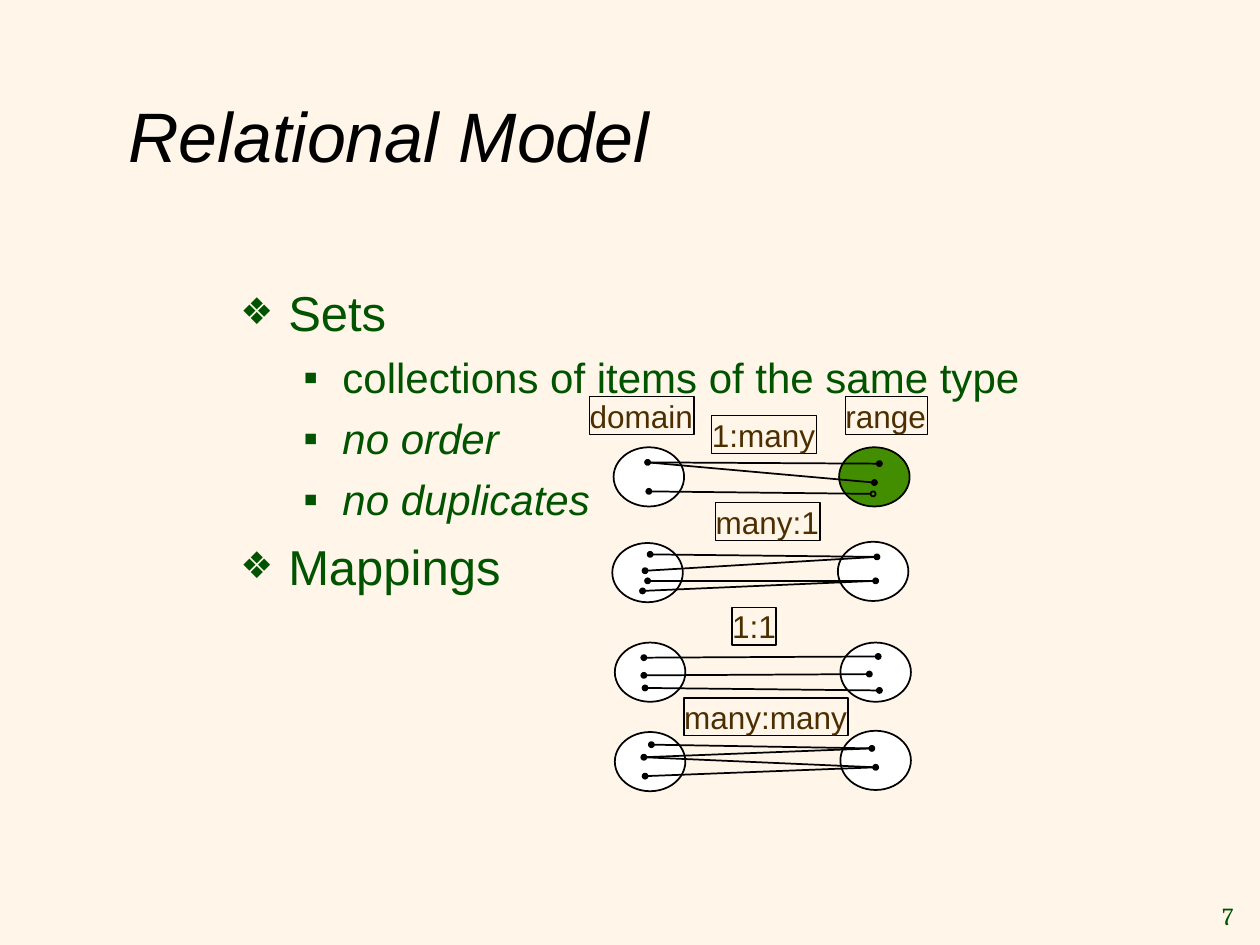
from dataclasses import dataclass
from typing import Any

from lxml.etree import SubElement
from pptx import Presentation
from pptx.dml.color import RGBColor
from pptx.enum.shapes import MSO_CONNECTOR as CONN, MSO_SHAPE as SHAPE
from pptx.enum.text import MSO_ANCHOR as ANCHOR, MSO_AUTO_SIZE as FIT, PP_ALIGN as ALIGN
from pptx.oxml.ns import qn
from pptx.util import Inches, Pt

CREAM = RGBColor(0xFF, 0xF6, 0xE9)
BLACK = RGBColor(0x00, 0x00, 0x00)
WHITE = RGBColor(0xFF, 0xFF, 0xFF)
DARK_GREEN = RGBColor(0x00, 0x54, 0x00)
GREEN = RGBColor(0x43, 0x8E, 0x00)
BROWN = RGBColor(0x4C, 0x2E, 0x00)

OVAL_W, OVAL_H, DOT = 0.56, 0.47, 0.04

BULLETS = [
    ("Sets", 0, False),
    ("collections of items of the same type", 1, False),
    ("no order", 1, True),
    ("no duplicates", 1, True),
    ("Mappings", 0, False),
]
LEVELS = [
    dict(char="❖", margin=0.38, hang=0.38, scale=75, size=28, before=7),
    dict(char="▪", margin=0.81, hang=0.31, scale=100, size=24, before=6),
]
MAPPINGS = [
    dict(ovals=[(4.87, 3.55, WHITE), (6.66, 3.55, GREEN)],
         domain=[(5.14, 3.67), (5.15, 3.9)],
         range=[(6.98, 3.68), (6.94, 3.83), (6.93, 3.92)],
         pairs=[(0, 0), (0, 1), (1, 2)], hollow=(6.93, 3.92)),
    dict(ovals=[(4.86, 4.31, WHITE), (6.65, 4.3, WHITE)],
         domain=[(5.16, 4.4), (5.12, 4.53), (5.14, 4.61), (5.1, 4.69)],
         range=[(6.96, 4.42), (6.95, 4.61)],
         pairs=[(0, 0), (1, 0), (2, 1), (3, 1)]),
    dict(ovals=[(4.88, 5.1, WHITE), (6.67, 5.1, WHITE)],
         domain=[(5.11, 5.22), (5.11, 5.36), (5.12, 5.46)],
         range=[(6.97, 5.21), (6.9, 5.35), (6.98, 5.48)],
         pairs=[(0, 0), (1, 1), (2, 2)]),
    dict(ovals=[(4.88, 5.81, WHITE), (6.67, 5.8, WHITE)],
         domain=[(5.17, 5.91), (5.11, 6.01), (5.12, 6.16)],
         range=[(6.92, 5.94), (6.95, 6.09)],
         pairs=[(0, 0), (1, 0), (1, 1), (2, 1)]),
]
LABELS = [
    ("domain", 4.68, 3.15, 0.83),
    ("range", 6.71, 3.15, 0.65),
    ("1:many", 5.65, 3.3, 0.83),
    ("many:1", 5.68, 3.99, 0.83),
    ("1:1", 5.81, 4.82, 0.35),
    ("many:many", 5.43, 5.54, 1.3),
]


def write(p, text, size=18, color=BLACK, font="Arial", italic=False, align=ALIGN.LEFT):
    p.alignment = align
    r = p.add_run()
    r.text = text
    r.font.size, r.font.name, r.font.italic = Pt(size), font, italic
    r.font.color.rgb = color


@dataclass
class Canvas:
    """Draws styled elements on the current slide."""

    s: Any
    line_color: RGBColor = BLACK
    line_width: float = 1

    def frame(self, x, y, w, h, anchor=ANCHOR.TOP, wrap=True):
        tf = self.s.shapes.add_textbox(Inches(x), Inches(y), Inches(w), Inches(h)).text_frame
        tf.word_wrap, tf.vertical_anchor = wrap, anchor
        return tf

    def text(self, box, text, wrap=True, **fmt):
        write(self.frame(*box, ANCHOR.MIDDLE, wrap).paragraphs[0], text, **fmt)

    def bullets(self, box, items):
        tf = self.frame(*box)
        for i, (text, level, italic) in enumerate(items):
            style = LEVELS[level]
            p = tf.add_paragraph() if i else tf.paragraphs[0]
            p.level = level
            p.space_before = Pt(style["before"] if i else 0)
            pPr = p._p.get_or_add_pPr()
            pPr.set("marL", str(Inches(style["margin"])))
            pPr.set("indent", str(-Inches(style["hang"])))
            SubElement(SubElement(pPr, qn("a:buClr")), qn("a:srgbClr"), val=str(DARK_GREEN))
            SubElement(pPr, qn("a:buSzPct"), val=str(style["scale"] * 1000))
            SubElement(pPr, qn("a:buFont"), typeface="Arial")
            SubElement(pPr, qn("a:buChar"), char=style["char"])
            write(p, text, size=style["size"], color=DARK_GREEN, italic=italic)

    def shape(self, kind, x, y, w, h, fill=None, width=None):
        sp = self.s.shapes.add_shape(kind, Inches(x), Inches(y), Inches(w), Inches(h))
        sp.shadow.inherit = False
        if fill is None:
            sp.fill.background()
        else:
            sp.fill.solid()
            sp.fill.fore_color.rgb = fill
        sp.line.color.rgb = self.line_color
        sp.line.width = Pt(width or self.line_width)
        return sp

    def oval(self, x, y, fill):
        self.shape(SHAPE.OVAL, x, y, OVAL_W, OVAL_H, fill)

    def dot(self, x, y, fill):
        self.shape(SHAPE.OVAL, x - DOT / 2, y - DOT / 2, DOT, DOT, fill)

    def line(self, start, end):
        c = self.s.shapes.add_connector(CONN.STRAIGHT, *map(Inches, start + end))
        c.line.color.rgb = self.line_color
        c.line.width = Pt(self.line_width)
        SubElement(c._element.spPr, qn("a:effectLst"))

    def label(self, text, x, y, w):
        tf = self.shape(SHAPE.RECTANGLE, x, y, w, 0.3, width=0.75).text_frame
        tf.margin_left = tf.margin_right = tf.margin_top = tf.margin_bottom = 0
        tf.word_wrap, tf.auto_size = False, FIT.SHAPE_TO_FIT_TEXT
        tf.vertical_anchor = ANCHOR.TOP
        write(tf.paragraphs[0], text, color=BROWN)


def main():
    prs = Presentation()
    prs.slide_width, prs.slide_height = Inches(10), Inches(7.5)
    s = prs.slides.add_slide(prs.slide_layouts[6])
    s.background.fill.solid()
    s.background.fill.fore_color.rgb = CREAM
    canvas = Canvas(s)

    canvas.text((9.45, 7.1, 0.44, 0.33), "7", wrap=False, size=14, color=DARK_GREEN,
                font="Cambria", align=ALIGN.RIGHT)
    canvas.text((0.92, 0.46, 8.5, 1.21), "Relational Model", size=40, italic=True)
    canvas.bullets((1.81, 2.19, 6.5, 3.72), BULLETS)

    for mapping in MAPPINGS:
        for oval in mapping["ovals"]:
            canvas.oval(*oval)
        for i, j in mapping["pairs"]:
            canvas.line(mapping["domain"][i], mapping["range"][j])
        for point in mapping["domain"] + mapping["range"]:
            canvas.dot(*point, GREEN if point == mapping.get("hollow") else BLACK)
    for label in LABELS:
        canvas.label(*label)

    prs.save("out.pptx")


if __name__ == "__main__":
    main()
